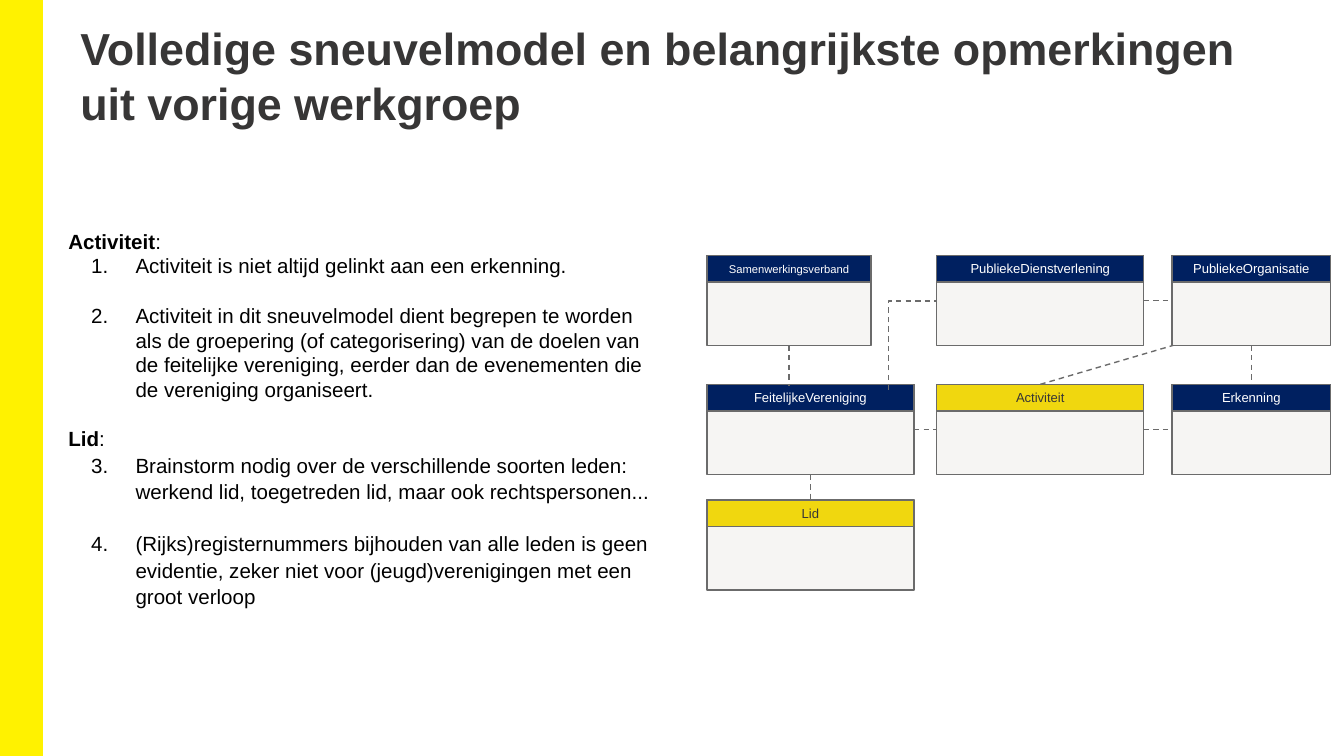
from lxml import etree
from pptx import Presentation, util as u
from pptx.dml.color import RGBColor
from pptx.enum import dml, shapes, text
from pptx.oxml.ns import qn

DARK, GREY, NAVY, GOLD, WHITE = "373636", "6B6B6B", "002060", "F0D70F", "FFFFFF"


def color(value):
    return RGBColor.from_string(value)


def add_run(paragraph, words, size, ink, bold=False):
    run = paragraph.add_run()
    run.text = words
    run.font.name = "Arial"
    run.font.size = u.Pt(size)
    run.font.bold = bold
    run.font.color.rgb = color(ink)


# Widescreen slide, 16:9
presentation = Presentation()
presentation.slide_width = u.Inches(10)
presentation.slide_height = u.Inches(10 * 9 / 16)
slide = presentation.slides.add_slide(presentation.slide_layouts[6])

# Yellow side bar
bar = slide.shapes.add_shape(
    shapes.MSO_SHAPE.RECTANGLE, 0, 0, u.Inches(0.31), presentation.slide_height)
bar.shadow.inherit = False
bar.fill.solid()
bar.fill.fore_color.rgb = color("FFF200")
bar.line.color.rgb = color("FFF200")
bar.line.width = u.Pt(1)

# Title and remarks boxes
frames = []
for left, top, width, height in [(0.5, 0.04, 9.13, 0.92), (0.41, 1.6, 4.59, 3.05)]:
    box = slide.shapes.add_textbox(u.Inches(left), u.Inches(top), u.Inches(width), u.Inches(height))
    frame = box.text_frame
    frame.word_wrap = True
    frame.margin_left = frame.margin_right = u.Inches(0.1)
    frame.margin_top = frame.margin_bottom = u.Inches(0.1)
    frames.append(frame)
title_frame, remarks_frame = frames

title = title_frame.paragraphs[0]
title.line_spacing = 1.03
add_run(title, "Volledige sneuvelmodel en belangrijkste opmerkingen uit vorige werkgroep", 24, DARK, True)

# Remarks: heading, first number, line spacing, numbered items
sections = [
    ("Activiteit", 1, 1.0, [
        "Activiteit is niet altijd gelinkt aan een erkenning.",
        "Activiteit in dit sneuvelmodel dient begrepen te worden als de groepering (of categorisering) "
        "van de doelen van de feitelijke vereniging, eerder dan de evenementen die de vereniging organiseert.",
    ]),
    ("Lid", 3, 1.08, [
        "Brainstorm nodig over de verschillende soorten leden: werkend lid, toegetreden lid, "
        "maar ook rechtspersonen...",
        "(Rijks)registernummers bijhouden van alle leden is geen evidentie, zeker niet voor "
        "(jeugd)verenigingen met een groot verloop",
    ]),
]
for section_index, (heading, start, spacing, items) in enumerate(sections):
    if section_index == 0:
        paragraph = remarks_frame.paragraphs[0]
    else:
        paragraph = remarks_frame.add_paragraph()
        paragraph.space_before = u.Pt(13)
    add_run(paragraph, heading, 11, "000000", True)
    add_run(paragraph, ":", 11, "000000")
    for item_index, item in enumerate(items):
        paragraph = remarks_frame.add_paragraph()
        properties = paragraph._p.get_or_add_pPr()
        properties.set("marL", str(u.Inches(0.5)))
        properties.set("indent", str(u.Inches(-0.33)))
        number = etree.SubElement(properties, qn("a:buAutoNum"), type="arabicPeriod")
        number.set("startAt", str(start))
        paragraph.line_spacing = spacing
        if item_index > 0:
            paragraph.space_before = u.Pt(13.5)
        add_run(paragraph, item, 11, "000000")

# Model classes: a body with a header strip on top
columns = [5.26, 6.97, 8.72]
rows = [1.9, 2.86, 3.72]
classes = [
    ("Samenwerkingsverband", 0, 0, 1.22, NAVY, WHITE, 6),
    ("PubliekeDienstverlening", 1, 0, 1.54, NAVY, WHITE, 7),
    ("PubliekeOrganisatie", 2, 0, 1.18, NAVY, WHITE, 7),
    ("FeitelijkeVereniging", 0, 1, 1.54, NAVY, WHITE, 7),
    ("Activiteit", 1, 1, 1.54, GOLD, DARK, 7),
    ("Erkenning", 2, 1, 1.18, NAVY, WHITE, 7),
    ("Lid", 0, 2, 1.54, GOLD, DARK, 7),
]
bodies = {}
for name, column, row, width, header_fill, ink, size in classes:
    for height, fill in [(0.67, "F6F5F3"), (0.2, header_fill)]:
        shape = slide.shapes.add_shape(
            shapes.MSO_SHAPE.RECTANGLE, u.Inches(columns[column]), u.Inches(rows[row]),
            u.Inches(width), u.Inches(height))
        shape.shadow.inherit = False
        shape.fill.solid()
        shape.fill.fore_color.rgb = color(fill)
        shape.line.color.rgb = color(GREY)
        shape.line.width = u.Pt(0.75)
        bodies.setdefault(name, shape)
    frame = shape.text_frame
    frame.margin_top = frame.margin_bottom = 0
    frame.vertical_anchor = text.MSO_ANCHOR.MIDDLE
    frame.paragraphs[0].alignment = text.PP_ALIGN.CENTER
    add_run(frame.paragraphs[0], name, size, ink)

# Dashed relations: start class, side, end class, side; a free end is a point
relations = [
    ("Activiteit", 3, "Erkenning", 1, None),
    ("PubliekeOrganisatie", 2, "Erkenning", 0, None),
    ("PubliekeDienstverlening", 3, "PubliekeOrganisatie", 1, None),
    ("FeitelijkeVereniging", 3, "Activiteit", 1, None),
    ("FeitelijkeVereniging", 2, "Lid", 0, None),
    ("Activiteit", 0, None, None, (8.73, 2.57)),
    ("Samenwerkingsverband", 2, None, None, (5.87, 2.87)),
]
connectors = []
for start, start_side, end, end_side, point in relations:
    x, y = point or (0, 0)
    connector = slide.shapes.add_connector(
        shapes.MSO_CONNECTOR.STRAIGHT, 0, 0, u.Inches(x), u.Inches(y))
    connector.begin_connect(bodies[start], start_side)
    if end:
        connector.end_connect(bodies[end], end_side)
    connectors.append(connector)

# One-bend relation from FeitelijkeVereniging up to PubliekeDienstverlening
elbow = slide.shapes.add_connector(
    shapes.MSO_CONNECTOR.ELBOW, u.Inches(6.46), u.Inches(2.39), u.Inches(7.12), u.Inches(2.75))
elbow_properties = elbow._element.spPr
elbow_properties.find(qn("a:prstGeom")).set("prst", "bentConnector2")
elbow_properties.find(qn("a:xfrm")).set("rot", str(270 * 60000))
connectors.append(elbow)

for connector in connectors:
    connector.line.color.rgb = color(GREY)
    connector.line.width = u.Pt(0.75)
    connector.line.dash_style = dml.MSO_LINE.DASH
    etree.SubElement(connector._element.spPr, qn("a:effectLst"))

presentation.save("out.pptx")
